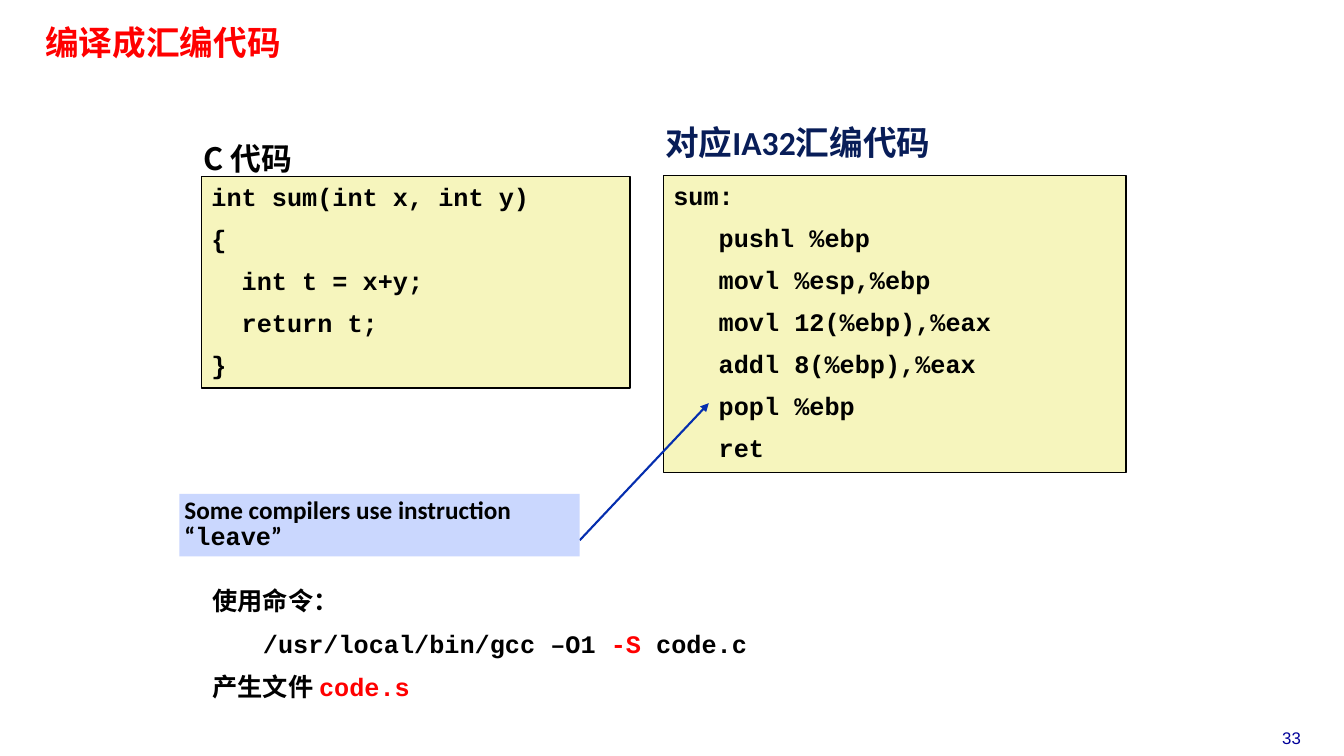
from lxml import etree
from pptx import Presentation
from pptx.dml.color import RGBColor
from pptx.enum.shapes import MSO_CONNECTOR, MSO_SHAPE
from pptx.enum.text import MSO_ANCHOR, PP_ALIGN
from pptx.oxml.ns import qn
from pptx.util import Inches, Pt

LEFT, CENTER = PP_ALIGN.LEFT, PP_ALIGN.CENTER
TOP, MIDDLE = MSO_ANCHOR.TOP, MSO_ANCHOR.MIDDLE
RECT, LINE = MSO_SHAPE.RECTANGLE, MSO_CONNECTOR.STRAIGHT
WIDTH, HEIGHT = Inches(13.33), Inches(7.5)

SANS, MONO, CJK = "Calibri", "Courier New", "Noto Sans CJK SC"
BLACK, RED, NAVY, BLUE = "000000", "FF0000", "081D58", "052EAE"
CREAM, PALE, INDIGO = "F6F5BD", "CAD7FE", "000099"

C_CODE = """int sum(int x, int y)
{
  int t = x+y;
  return t;
}"""
ASM_CODE = """sum:
   pushl %ebp
   movl %esp,%ebp
   movl 12(%ebp),%eax
   addl 8(%ebp),%eax
   popl %ebp
   ret"""


def color(code):
    return RGBColor.from_string(code)


def place(x, y):
    """Turn percentages of the slide's size into lengths."""
    return round(WIDTH * x / 100), round(HEIGHT * y / 100)


def area(x, y, w, h):
    return place(x, y) + place(w, h)


def style(font, size, name=None, tint=BLACK, bold=True):
    font.size, font.bold = Pt(size), bold
    font.color.rgb = color(tint)
    if name:
        font.name = name


def setup(frame, side=0.1, edge=0.05, anchor=TOP):
    frame.word_wrap = True
    frame.margin_left = frame.margin_right = Inches(side)
    frame.margin_top = frame.margin_bottom = Inches(edge)
    frame.vertical_anchor = anchor


def write(frame, lines, size, name=None, tint=BLACK, bold=True,
          align=LEFT, gap=0, pitch=None):
    """Write lines; a line is a string or a list of (text, font, color)."""
    for i, line in enumerate(lines):
        para = frame.add_paragraph() if i else frame.paragraphs[0]
        para.alignment = align
        para.space_before = Pt(gap if i else 0)
        if pitch:
            para.line_spacing = pitch
        style(para.font, size, name, tint, bold)
        if isinstance(line, str):
            para.add_run().text = line
            continue
        for text, face, hue in line:
            run = para.add_run()
            run.text = text
            run.font.name = face
            run.font.color.rgb = color(hue)


def label(slide, box, lines, size, name=None, **look):
    frame = slide.shapes.add_textbox(*area(*box)).text_frame
    setup(frame)
    write(frame, lines, size, name, **look)


def panel(slide, box, fill, edge=None):
    shape = slide.shapes.add_shape(RECT, *area(*box))
    shape.shadow.inherit = False
    shape.fill.solid()
    shape.fill.fore_color.rgb = color(fill)
    if edge:
        shape.line.color.rgb = color(edge)
        shape.line.width = Pt(1)
    else:
        shape.line.fill.background()
    return shape.text_frame


def listing(slide, box, code):
    frame = panel(slide, box, CREAM, BLACK)
    setup(frame)
    write(frame, code.split("\n"), 18, MONO, gap=8.4)


def arrow(slide, start, end):
    link = slide.shapes.add_connector(LINE, *place(*start), *place(*end))
    link.line.color.rgb = color(BLUE)
    link.line.width = Pt(1.5)
    tip = etree.SubElement(link.line._get_or_add_ln(), qn("a:tailEnd"))
    tip.set("type", "triangle")
    etree.SubElement(link._element.spPr, qn("a:effectLst"))


def main():
    deck = Presentation()
    deck.slide_width, deck.slide_height = WIDTH, HEIGHT
    slide = deck.slides.add_slide(deck.slide_layouts[5])

    # Title and page number
    title = slide.shapes.title
    title.left, title.top, title.width, title.height = area(2.85, 3.2, 56.19, 5.47)
    setup(title.text_frame, 0.07, 0.03, MIDDLE)
    write(title.text_frame, ["编译成汇编代码"], 24, "DejaVu Sans Mono", RED, pitch=0.87)
    label(slide, (92.57, 95.6, 7.05, 4), ["33"], 12, "Arial",
          tint=INDIGO, bold=False, align=CENTER)

    # C code
    label(slide, (14.4, 16.67, 13.28, 6.93), ["C 代码"], 22, CJK, pitch=1.25)
    listing(slide, (15, 23.33, 31.88, 28), C_CODE)

    # Assembly code
    label(slide, (48.76, 16.27, 33.76, 6), ["对应IA32汇编代码"], 24, SANS,
          tint=NAVY, pitch=0.85)
    listing(slide, (49.36, 23.2, 34.43, 39.33), ASM_CODE)

    # Compile command
    label(slide, (15.08, 76.8, 61.29, 17.47), [
        [("使用命令：", SANS, BLACK)],
        [("\t", SANS, BLACK), ("/usr/local/bin/gcc –O1 ", MONO, BLACK),
         ("-S ", MONO, RED), ("code.c", MONO, BLACK)],
        [("产生文件", SANS, BLACK), (" code.s", MONO, RED)],
    ], 18, gap=9)

    # Note pointing at the popl line
    arrow(slide, (43.13, 71.47), (52.74, 53.33))
    note = panel(slide, (13.35, 65.33, 29.78, 8.27), PALE)
    setup(note, 0.05)
    write(note, [[("Some compilers use instruction “", SANS, BLACK),
                  ("leave", MONO, BLACK), ("”", SANS, BLACK)]], 18, pitch=0.85)

    deck.save("out.pptx")


if __name__ == "__main__":
    main()
